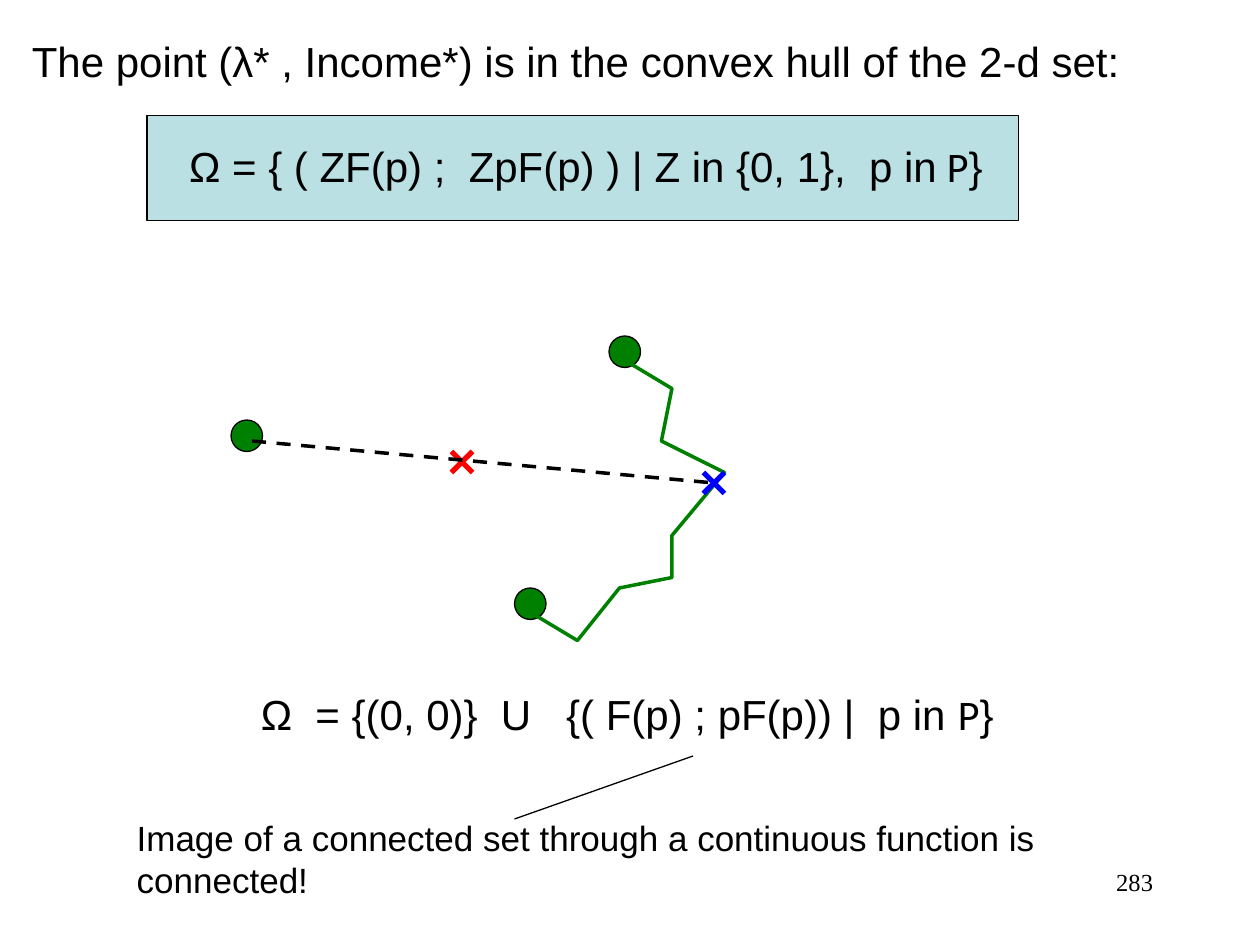
from lxml import etree
from pptx import Presentation
from pptx.dml.color import RGBColor
from pptx.enum.dml import MSO_LINE
from pptx.enum.shapes import MSO_CONNECTOR, MSO_SHAPE
from pptx.enum.text import MSO_ANCHOR, PP_ALIGN
from pptx.oxml.ns import qn
from pptx.util import Pt


def color(hex_code):
    return RGBColor.from_string(hex_code)


def place(sp, box):
    sp.left, sp.top, sp.width, sp.height = (Pt(v) for v in box)


def write(sp, runs, size, align=PP_ALIGN.LEFT, wrap=False):
    tf = sp.text_frame
    tf.word_wrap = wrap
    tf.vertical_anchor = MSO_ANCHOR.TOP
    p = tf.paragraphs[0]
    p.alignment = align
    for text, font in runs:
        r = p.add_run()
        r.text = text
        r.font.size = Pt(size)
        r.font.name = font
        r.font.color.rgb = color("000000")


def add_text(s, box, runs, size, **options):
    sp = s.shapes.add_textbox(*(Pt(v) for v in box))
    write(sp, runs, size, **options)


def add_line(shapes, start, end, hex_code, width):
    line = shapes.add_connector(MSO_CONNECTOR.STRAIGHT, *(Pt(v) for v in (*start, *end)))
    line.line.color.rgb = color(hex_code)
    line.line.width = Pt(width)
    etree.SubElement(line._element.spPr, qn("a:effectLst"))
    return line


def add_filled(s, preset, box, fill):
    sp = s.shapes.add_shape(preset, *(Pt(v) for v in box))
    sp.shadow.inherit = False
    sp.fill.solid()
    sp.fill.fore_color.rgb = color(fill)
    sp.line.color.rgb = color("000000")
    sp.line.width = Pt(0.75)


def add_cross(s, center, hex_code, half=6):
    x, y = center
    group = s.shapes.add_group_shape()
    for dy in (half, -half):
        add_line(group.shapes, (x - half, y - dy), (x + half, y + dy), hex_code, 3)


def add_title(s, box):
    title = s.shapes.title
    place(title, box)
    write(title, [("The point (λ* , Income*) is in the convex hull of the 2-d set:", "Arial")], 24)


def add_definition(s, box):
    x, y, w, h = box
    add_filled(s, MSO_SHAPE.RECTANGLE, box, "BBE0E3")
    add_text(s, (x + 17, y + 11, w - 22, h - 22), [
        ("Ω = { ( ZF(p) ;  ZpF(p) ) | Z in {0, 1},  p in", "Arial"),
        (" P", "Calibri"),
        ("}", "Arial"),
    ], 24)


def add_hull_diagram(s, box):
    x, y, w, h = box

    def at(dx, dy):
        return x + dx, y + dy

    radius = 9
    for cx, cy in (at(9, 57), at(171, 153), at(225, 9)):
        add_filled(s, MSO_SHAPE.OVAL,
                   (cx - radius, cy - radius, 2 * radius, 2 * radius), "008000")
    add_cross(s, at(132, 72), "FF0000")

    steps = [(222, 12), (252, 30), (246, 60), (w, 78), (252, 114),
             (252, 138), (222, 144), (198, h), (168, 156)]
    start, *rest = [at(*step) for step in steps]
    builder = s.shapes.build_freeform(*start, scale=Pt(1))
    builder.add_line_segments(rest, close=False)
    curve = builder.convert_to_shape()
    curve.shadow.inherit = False
    curve.fill.background()
    curve.line.color.rgb = color("008000")
    curve.line.width = Pt(2)

    chord = add_line(s.shapes, at(12, 60), at(276, 84), "000000", 2)
    chord.line.dash_style = MSO_LINE.DASH
    add_cross(s, at(276, 84), "0000FF")


def add_conclusion(s, box):
    x, y, w, h = box
    add_text(s, (x + 71, y, 441, 36), [
        ("Ω  = {(0, 0)}  U   {( F(p) ; pF(p)) |  p in ", "Arial"),
        ("P", "Calibri"),
        ("}", "Arial"),
    ], 24)
    add_text(s, (x, y + h - 32, w, 32), [
        ("Image of a connected set through a continuous function is connected!", "Arial"),
    ], 20)
    add_line(s.shapes, (x + 223, y + 78), (x + 325, y + 42), "000000", 0.75)


def add_number(s, box):
    add_text(s, box, [("283", "Times New Roman")], 14, align=PP_ALIGN.RIGHT, wrap=True)


def main():
    prs = Presentation()
    prs.slide_width, prs.slide_height = Pt(720), Pt(540)
    s = prs.slides.add_slide(prs.slide_layouts[5])
    add_title(s, (11, 16.5, 637, 65))
    add_definition(s, (84, 66, 498, 60))
    add_hull_diagram(s, (132, 192, 282, 174))
    add_conclusion(s, (71, 390, 631, 105))
    add_number(s, (516, 492, 150, 36))
    prs.save("out.pptx")


if __name__ == "__main__":
    main()
